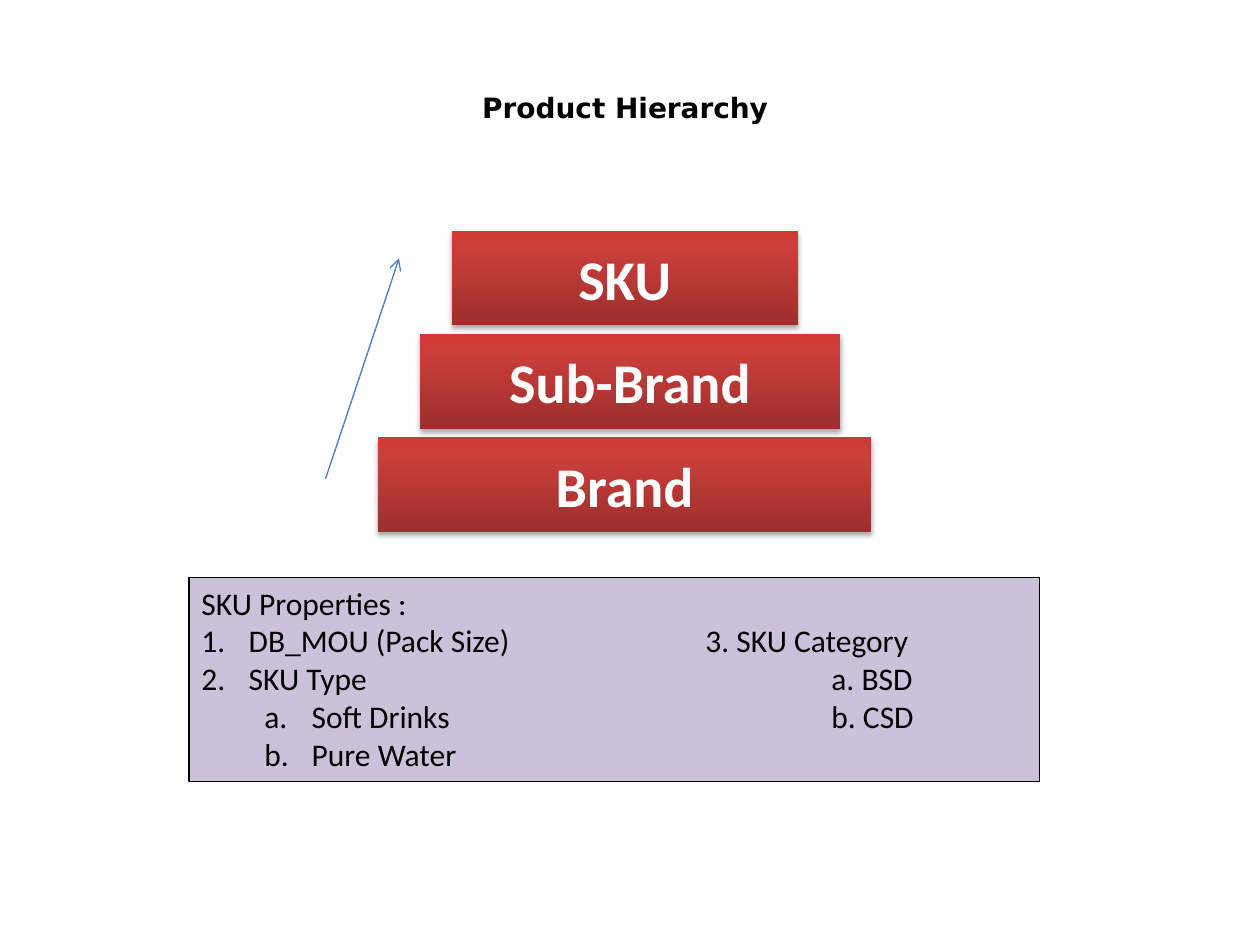
from lxml import etree
from pptx import Presentation
from pptx.dml.color import RGBColor
from pptx.enum.shapes import MSO_CONNECTOR, MSO_SHAPE
from pptx.enum.text import MSO_ANCHOR, MSO_AUTO_SIZE, PP_ALIGN
from pptx.oxml import parse_xml
from pptx.oxml.ns import nsdecls, qn
from pptx.util import Pt

RECTANGLE = MSO_SHAPE.RECTANGLE
STRAIGHT = MSO_CONNECTOR.STRAIGHT
CENTER, LEFT = PP_ALIGN.CENTER, PP_ALIGN.LEFT
MIDDLE, TOP = MSO_ANCHOR.MIDDLE, MSO_ANCHOR.TOP
FIT_SHAPE = MSO_AUTO_SIZE.SHAPE_TO_FIT_TEXT

BLACK = RGBColor(0x00, 0x00, 0x00)
WHITE = RGBColor(0xFF, 0xFF, 0xFF)
BLUE = RGBColor(0x4B, 0x7E, 0xBC)
LILAC = RGBColor(0xCC, 0xC1, 0xDA)
RED_STOPS = [(0, RGBColor(0x9C, 0x2F, 0x2D)),
             (80, RGBColor(0xCB, 0x3E, 0x3A)),
             (100, RGBColor(0xCE, 0x3B, 0x37))]


def style(para, name, size, color, bold=False):
    para.font.name = name
    para.font.size = Pt(size)
    para.font.color.rgb = color
    para.font.bold = bold


deck = Presentation()
deck.slide_width, deck.slide_height = Pt(720), Pt(540)
page = deck.slides.add_slide(deck.slide_layouts[6])

# Title
title = page.shapes.add_textbox(Pt(268.5), Pt(48), Pt(179.5), Pt(29.5))
title.text_frame.word_wrap = False
title.text_frame.auto_size = FIT_SHAPE
title.text_frame.text = "Product Hierarchy"
style(title.text_frame.paragraphs[0], "DejaVu Sans", 16, BLACK, True)

# Stacked levels, from the bottom up
stops = "".join(f'<a:gs pos="{place * 1000}"><a:srgbClr val="{color}"/></a:gs>'
                for place, color in RED_STOPS)
levels = [("Brand", 216, 282), ("Sub-Brand", 240, 240), ("SKU", 258, 198)]
for row, (label, left, width) in enumerate(levels):
    level = page.shapes.add_shape(RECTANGLE, Pt(left), Pt(250 - 59 * row),
                                  Pt(width), Pt(54))
    level.line.fill.background()
    properties = level.element.spPr
    properties.find(qn("a:prstGeom")).addnext(parse_xml(
        f'<a:gradFill {nsdecls("a")} rotWithShape="1"><a:gsLst>{stops}</a:gsLst>'
        '<a:lin ang="16200000" scaled="0"/></a:gradFill>'))
    properties.append(parse_xml(
        f'<a:effectLst {nsdecls("a")}><a:outerShdw blurRad="{Pt(3.1)}" '
        f'dist="{Pt(1.8)}" dir="5400000" rotWithShape="0">'
        '<a:srgbClr val="000000"><a:alpha val="35000"/></a:srgbClr>'
        '</a:outerShdw></a:effectLst>'))
    level.text_frame.vertical_anchor = MIDDLE
    level.text_frame.text = label
    para = level.text_frame.paragraphs[0]
    para.alignment = CENTER
    style(para, "Calibri", 32, WHITE, True)

# Upward arrow
arrow = page.shapes.add_connector(STRAIGHT, Pt(186), Pt(273.75), Pt(228), Pt(147.75))
arrow.line.color.rgb = BLUE
arrow.line.width = Pt(0.75)
etree.SubElement(arrow.line._get_or_add_ln(), qn("a:tailEnd"), type="arrow")
etree.SubElement(arrow.element.spPr, qn("a:effectLst"))

# SKU properties: text, numbering, outline level, tab stop
box = page.shapes.add_shape(RECTANGLE, Pt(108), Pt(330), Pt(486), Pt(116.5))
box.shadow.inherit = False
box.fill.solid()
box.fill.fore_color.rgb = LILAC
box.line.color.rgb = BLACK
box.line.width = Pt(0.75)
frame = box.text_frame
frame.word_wrap = True
frame.auto_size = FIT_SHAPE
frame.vertical_anchor = TOP
entries = [("SKU Properties :", None, 0, None),
           ("DB_MOU (Pack Size)\t3. SKU Category", "arabicPeriod", 0, 288),
           ("SKU Type\ta. BSD", "arabicPeriod", 0, 360),
           ("Soft Drinks\tb. CSD", "alphaLcPeriod", 1, 360),
           ("Pure Water", "alphaLcPeriod", 1, None)]
frame.text = "\n".join(entry[0] for entry in entries)
for para, (text, numbering, depth, stop) in zip(frame.paragraphs, entries):
    para.alignment = LEFT
    para.level = depth
    layout = para._p.get_or_add_pPr()
    if numbering:
        layout.set("marL", str(Pt(27 + 36 * depth)))
        layout.set("indent", str(Pt(-27)))
        etree.SubElement(layout, qn("a:buAutoNum"), type=numbering)
    if stop:
        tabs = etree.SubElement(layout, qn("a:tabLst"))
        etree.SubElement(tabs, qn("a:tab"), pos=str(Pt(stop)), algn="l")
    style(para, "Calibri", 18, BLACK)

deck.save("out.pptx")
